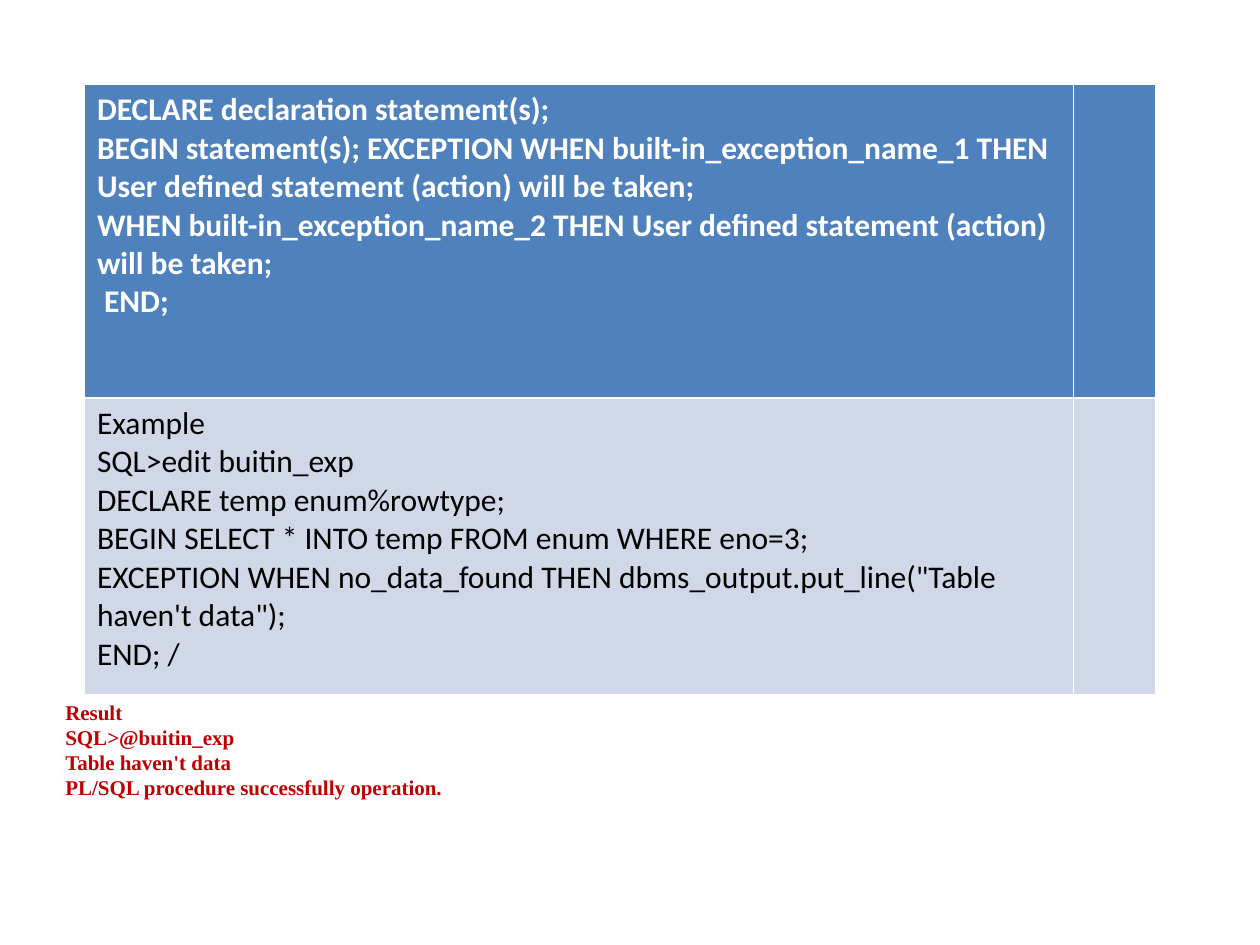
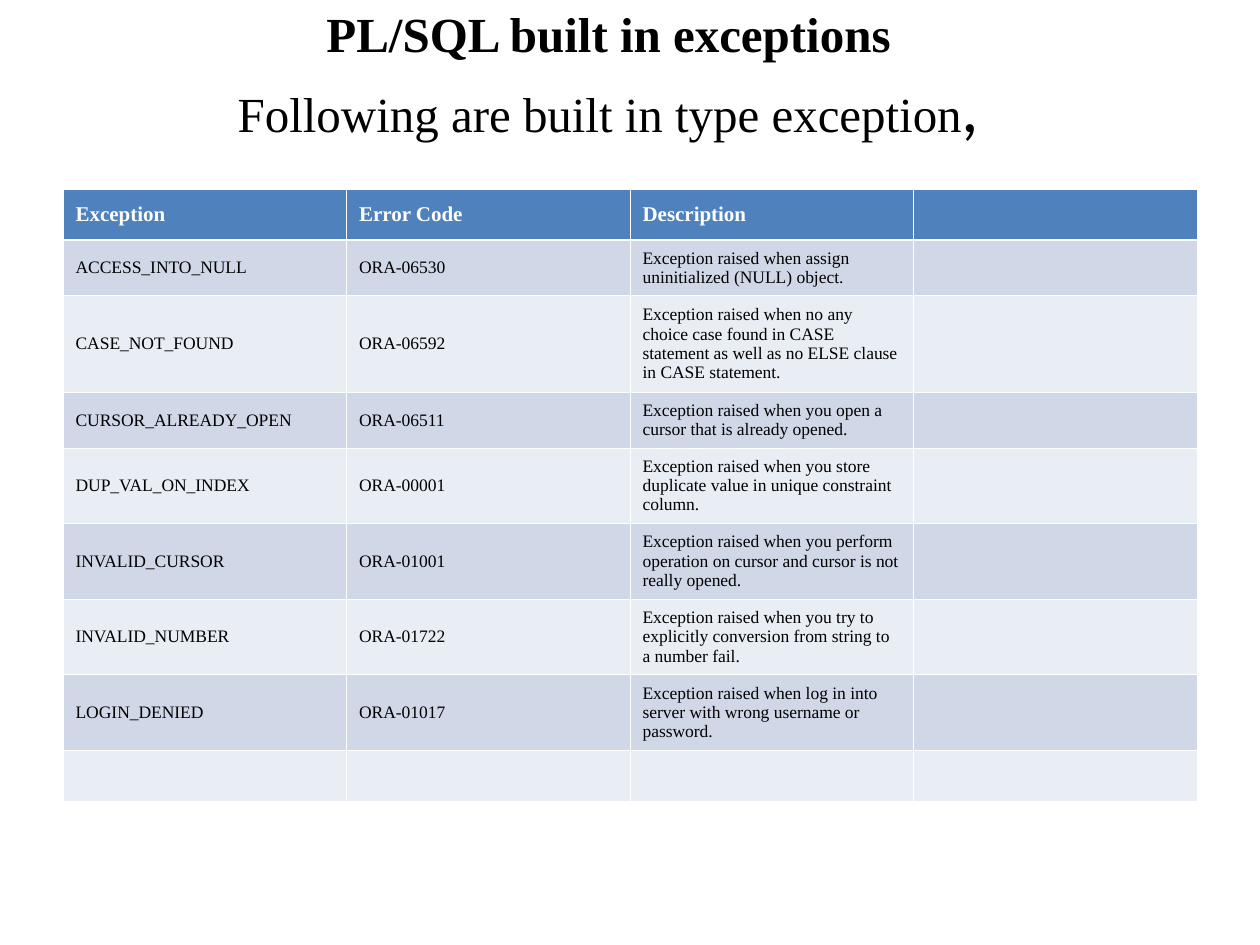
"""Build two slides on PL/SQL built-in exceptions."""
from copy import deepcopy

from lxml.etree import SubElement
from pptx import Presentation
from pptx.dml.color import RGBColor
from pptx.enum.text import MSO_ANCHOR as Anchor, MSO_AUTO_SIZE as AutoSize, PP_ALIGN as Align
from pptx.oxml.ns import qn
from pptx.util import Inches, Pt

COLORS = {
    "header": "4F81BD", "band_dark": "D0D8E8", "band_light": "E9EDF4",
    "white": "FFFFFF", "black": "000000", "result": "C00000",
}
SERIF, SANS = "Times New Roman", "Calibri"
THIN, THICK = 0.45, 1.47

SYNTAX = [
    "DECLARE declaration statement(s);",
    "BEGIN statement(s); EXCEPTION WHEN built-in_exception_name_1 THEN "
    "User defined statement (action) will be taken;",
    "WHEN built-in_exception_name_2 THEN User defined statement (action) will be taken;",
    " END;",
]
EXAMPLE = [
    "Example",
    "SQL>edit buitin_exp",
    "DECLARE temp enum%rowtype;",
    "BEGIN SELECT * INTO temp FROM enum WHERE eno=3;",
    'EXCEPTION WHEN no_data_found THEN dbms_output.put_line("Table haven\'t data");',
    "END; /",
]
RESULT = [
    "Result",
    "SQL>@buitin_exp\nTable haven't data\nPL/SQL procedure successfully operation.",
]
TITLE = [[
    ("PL/SQL built in exceptions\n", {"bold": True}),
    ("Following are built in type exception", {}),
    (",", {"size": 40, "font": SANS}),
]]
EXCEPTIONS = [
    ("Exception", "Error Code", "Description", ""),
    ("ACCESS_INTO_NULL", "ORA-06530",
     "Exception raised when assign uninitialized (NULL) object.", ""),
    ("CASE_NOT_FOUND", "ORA-06592",
     "Exception raised when no any choice case found in CASE statement "
     "as well as no ELSE clause in CASE statement.", ""),
    ("CURSOR_ALREADY_OPEN", "ORA-06511",
     "Exception raised when you open a cursor that is already opened.", ""),
    ("DUP_VAL_ON_INDEX", "ORA-00001",
     "Exception raised when you store duplicate value in unique constraint column.", ""),
    ("INVALID_CURSOR", "ORA-01001",
     "Exception raised when you perform operation on cursor and cursor is not "
     "really opened.", ""),
    ("INVALID_NUMBER", "ORA-01722",
     "Exception raised when you try to explicitly conversion from string to "
     "a number fail.", ""),
    ("LOGIN_DENIED", "ORA-01017",
     "Exception raised when log in into server with wrong username or password.", ""),
    ("", "", "", ""),
]
EXCEPTION_HEIGHTS = [0.4, 0.44, 0.77, 0.44] + [0.6] * 4 + [0.4]


def write_text(frame, paragraphs, align=None, **base):
    """Write paragraphs, each a string or a list of (text, format) runs."""
    for index, content in enumerate(paragraphs):
        paragraph = frame.paragraphs[0] if index == 0 else frame.add_paragraph()
        paragraph.alignment = align
        for text, changes in [(content, {})] if isinstance(content, str) else content:
            style = {"font": SERIF, "size": 12, "color": "black", "bold": False, **base, **changes}
            for number, line in enumerate(text.split("\n")):
                if number:
                    paragraph.add_line_break()
                    paragraph._p[-1].append(deepcopy(run._r.rPr))
                if line:
                    run = paragraph.add_run()
                    run.text = line
                    run.font.name = style["font"]
                    run.font.size = Pt(style["size"])
                    run.font.bold = style["bold"]
                    run.font.color.rgb = RGBColor.from_string(COLORS[style["color"]])


def style_cell(cell, row):
    """Give a cell its band colour and white borders."""
    properties = cell._tc.get_or_add_tcPr()
    widths = {"L": THIN, "R": THIN,
              "T": THICK if row == 1 else THIN, "B": THICK if row == 0 else THIN}
    for side, width in widths.items():
        line = SubElement(properties, qn(f"a:ln{side}"), w=str(Pt(width)))
        fill = SubElement(line, qn("a:solidFill"))
        SubElement(fill, qn("a:srgbClr"), val=COLORS["white"])
    band = "header" if row == 0 else "band_dark" if row % 2 else "band_light"
    cell.fill.solid()
    cell.fill.fore_color.rgb = RGBColor.from_string(COLORS[band])


def add_grid(slide, rows, left, top, widths, heights, anchor, header, body):
    """Add a banded table whose cells hold lists of paragraphs."""
    table = slide.shapes.add_table(
        len(heights), len(widths), Inches(left), Inches(top),
        Inches(sum(widths)), Inches(sum(heights))).table
    for column, width in zip(table.columns, widths):
        column.width = Inches(width)
    for index, (row, height) in enumerate(zip(rows, heights)):
        table.rows[index].height = Inches(height)
        for cell, paragraphs in zip(table.rows[index].cells, row):
            style_cell(cell, index)
            cell.vertical_anchor = anchor
            write_text(cell.text_frame, paragraphs, **(body if index else header))


def add_syntax_slide(presentation):
    """Show the exception block syntax, an example and its result."""
    slide = presentation.slides.add_slide(presentation.slide_layouts[6])
    body = {"font": SANS, "size": 18}
    add_grid(slide, [(SYNTAX, []), (EXAMPLE, [])], 0.67, 0.67, [7.85, 0.65], [2.49, 2.35],
             Anchor.TOP, {**body, "color": "white", "bold": True}, body)
    result = slide.shapes.add_textbox(Inches(0.42), Inches(5.5), Inches(9), Inches(0.9))
    result.text_frame.word_wrap = True
    write_text(result.text_frame, RESULT, color="result", bold=True)


def add_exceptions_slide(presentation):
    """List the built-in exceptions."""
    slide = presentation.slides.add_slide(presentation.slide_layouts[5])
    title = slide.shapes.title
    title.left, title.top, title.width, title.height = map(Inches, (0.33, 0.17, 9, 1.53))
    frame = title.text_frame
    frame.auto_size = AutoSize.NONE
    frame.vertical_anchor = Anchor.MIDDLE
    frame.margin_top, frame.margin_bottom = 0, Inches(0.68)
    write_text(frame, TITLE, align=Align.CENTER, size=28)
    rows = [[[text] for text in row] for row in EXCEPTIONS]
    add_grid(slide, rows, 0.5, 1.5, [2.25] * 4, EXCEPTION_HEIGHTS, Anchor.MIDDLE,
             {"color": "white", "bold": True}, {"size": 10})


def main():
    """Build and save the presentation."""
    presentation = Presentation()
    presentation.slide_width, presentation.slide_height = Inches(10), Inches(7.5)
    add_syntax_slide(presentation)
    add_exceptions_slide(presentation)
    presentation.save("out.pptx")


if __name__ == "__main__":
    main()
